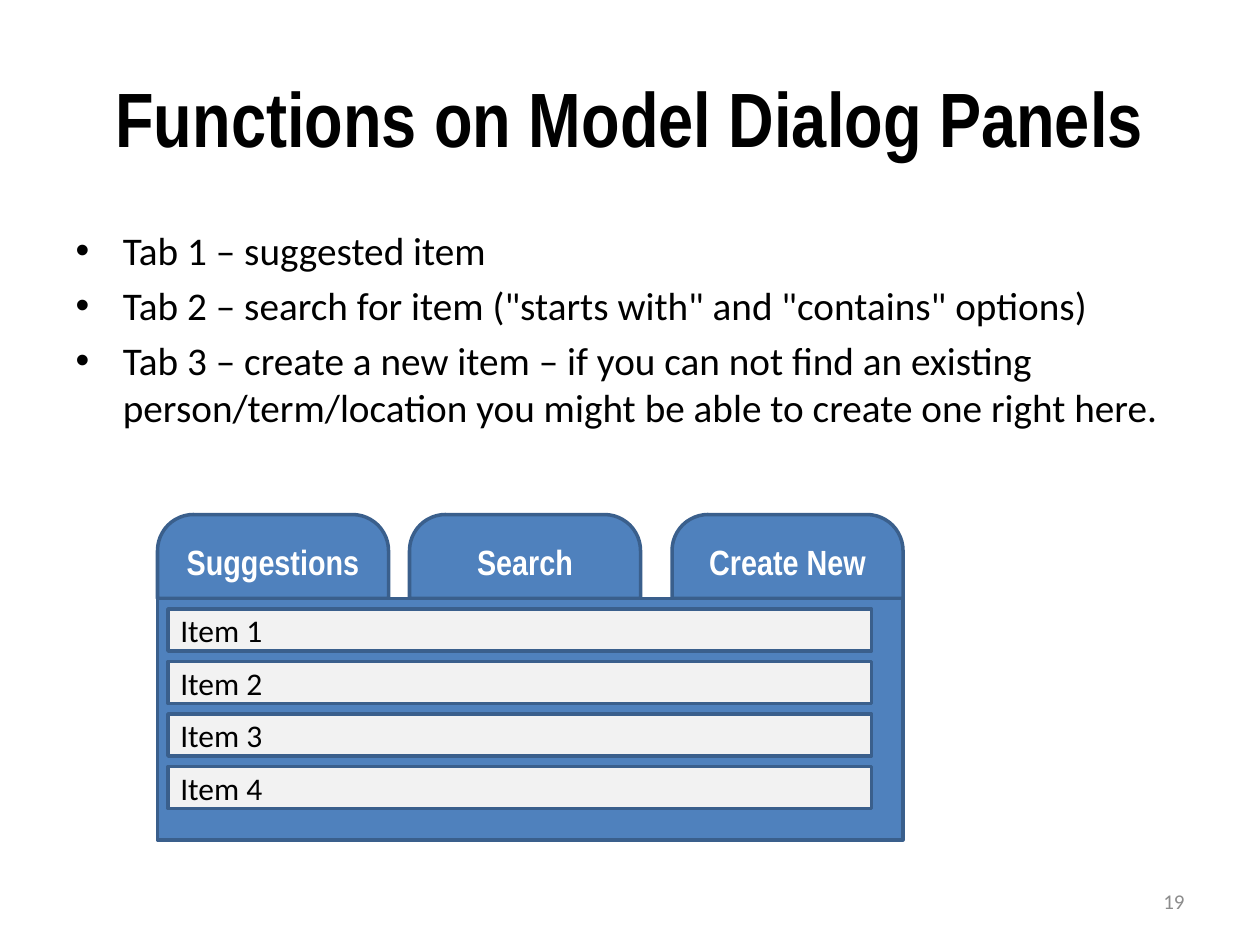
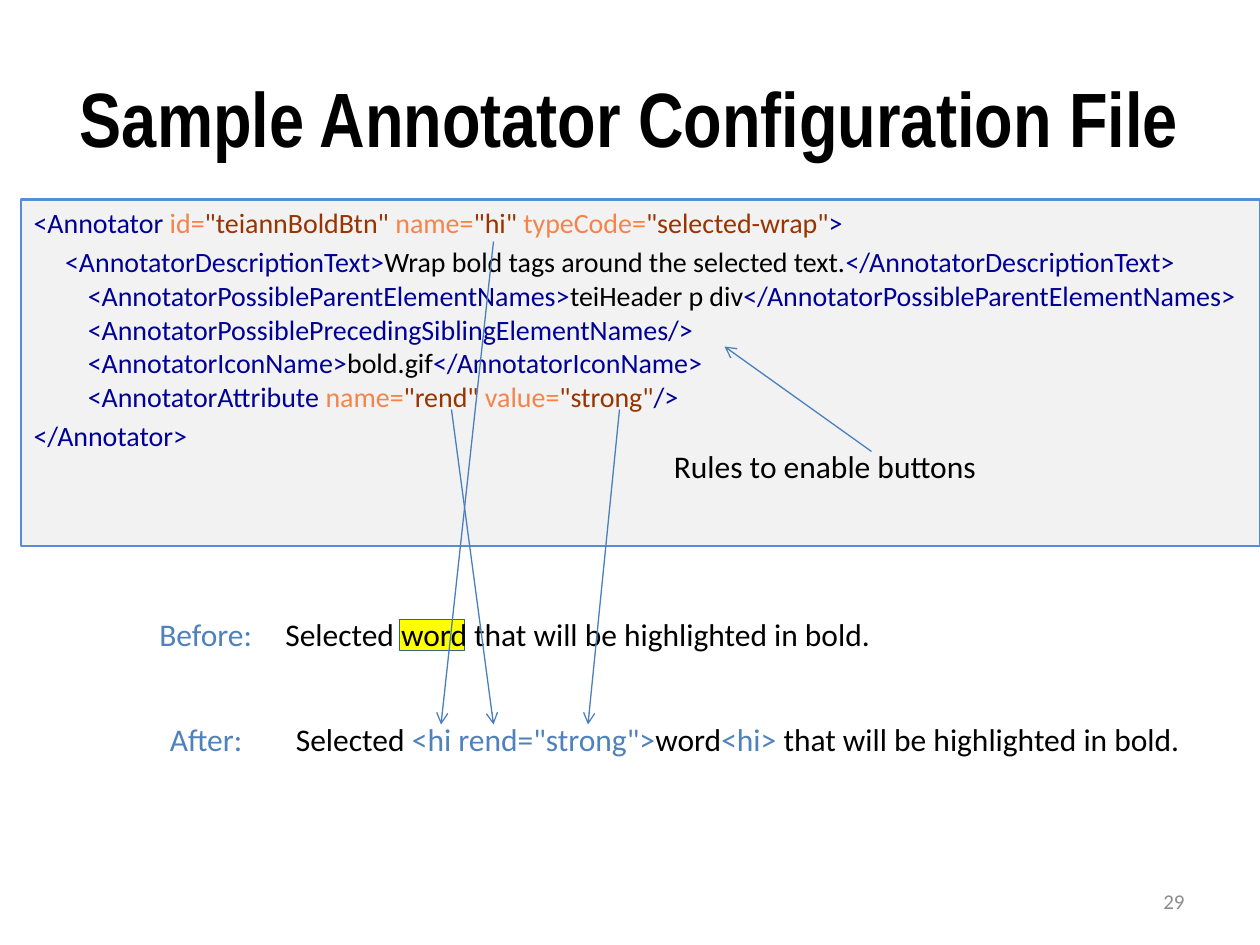
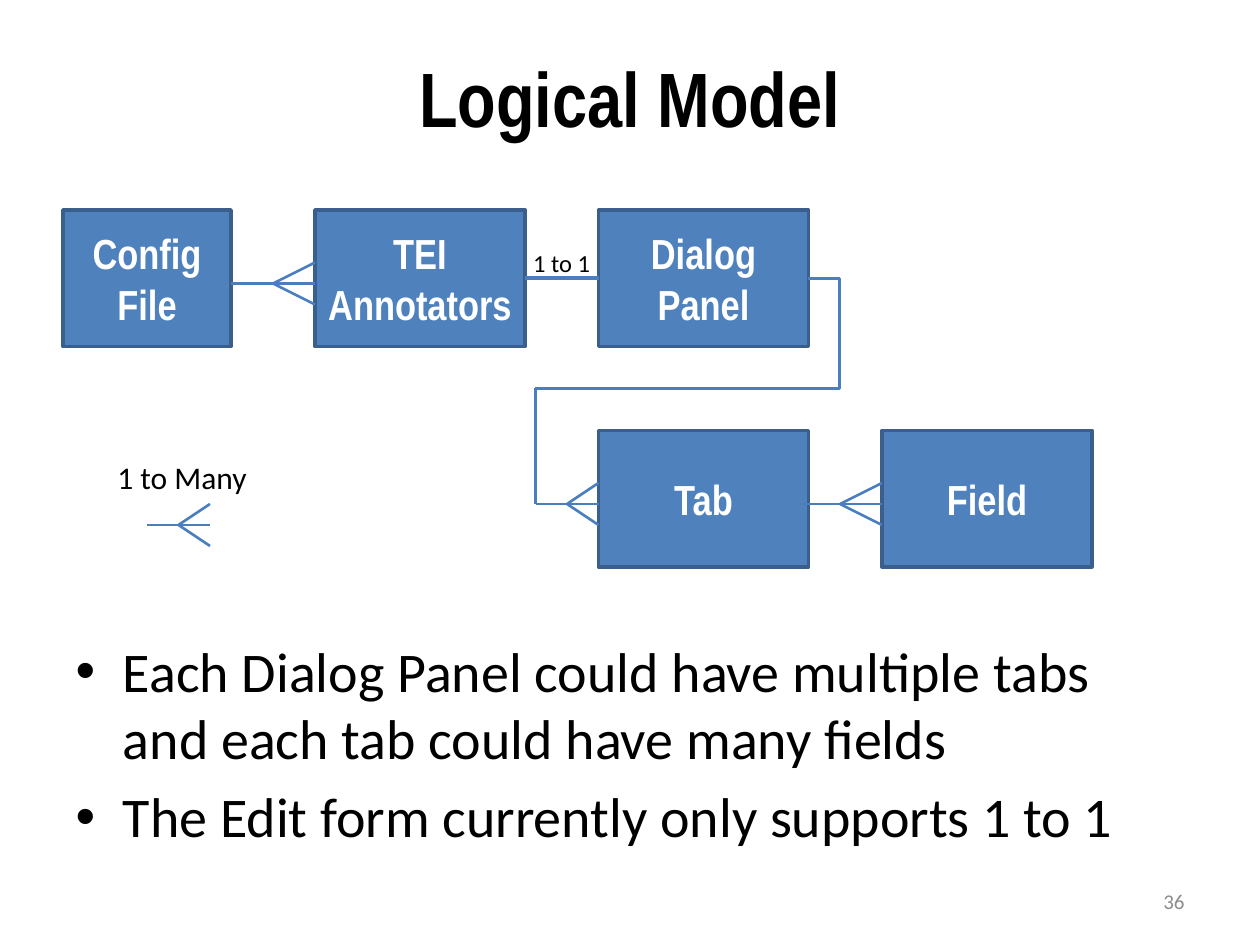
from dataclasses import dataclass

from lxml.etree import SubElement
from pptx import Presentation
from pptx.dml.color import RGBColor
from pptx.enum.shapes import MSO_CONNECTOR as Link, MSO_SHAPE as Shape
from pptx.enum.text import MSO_ANCHOR as Anchor, MSO_AUTO_SIZE as AutoSize, PP_ALIGN as Align
from pptx.oxml.ns import qn
from pptx.util import Inches, Pt

COLUMNS, ROWS = 120, 90


@dataclass(frozen=True)
class Type:
    font: str
    size: float
    color: str
    bold: bool = False


@dataclass(frozen=True)
class Theme:
    accent: str = "4F81BD"
    outline: str = "3A5F8C"
    link: str = "4B7EBC"
    pale: str = "F2F2F2"
    code_border: str = "558ED5"
    marker: str = "FFFF00"
    tag: str = "000096"
    attribute: str = "F5844C"
    equals: str = "FF8040"
    value: str = "993300"
    black: str = "000000"
    title: Type = Type("Arial Narrow", 44, "000000", True)
    box: Type = Type("Arial Narrow", 24, "FFFFFF", True)
    tab: Type = Type("Arial Narrow", 20, "FFFFFF", True)
    body: Type = Type("Calibri", 32, "000000")
    compact: Type = Type("Calibri", 22.4, "000000")
    code: Type = Type("Calibri", 16, "000096")
    text: Type = Type("Calibri", 18, "000000")
    label: Type = Type("Calibri", 18, "4F81BD")
    small: Type = Type("Calibri", 14, "000000")
    number: Type = Type("Calibri", 12, "8C8C8C")


THEME = Theme()


class Deck:
    def __init__(self):
        self.file = Presentation()
        self.file.slide_width, self.file.slide_height = Inches(10), Inches(7.5)
        self.column = self.file.slide_width / COLUMNS
        self.row = self.file.slide_height / ROWS

    def spot(self, *lengths):
        units = (self.column, self.row) * 2
        return [round(length * unit) for length, unit in zip(lengths, units)]

    def start(self, heading, number, top=3.6, height=15):
        self.slide = self.file.slides.add_slide(self.file.slide_layouts[1])
        self.shapes = self.slide.shapes
        title = self.place(self.shapes.title, 6, top, 108, height)
        title.text_frame.vertical_anchor = Anchor.MIDDLE
        self.set_text(title.text_frame, [heading], THEME.title, Align.CENTER)
        footer = self.text(str(number), 86, 83.4, 28, THEME.number, Align.RIGHT)
        footer.vertical_anchor = Anchor.MIDDLE

    def place(self, holder, *area):
        holder.left, holder.top, holder.width, holder.height = self.spot(*area)
        holder.text_frame.auto_size = AutoSize.NONE
        return holder

    def set_text(self, frame, paragraphs, style, align=None):
        for index, content in enumerate(paragraphs):
            paragraph = frame.add_paragraph() if index else frame.paragraphs[0]
            paragraph.alignment = align
            font = paragraph.font
            font.name, font.size, font.bold = style.font, Pt(style.size), style.bold
            if isinstance(content, str):
                font.color.rgb = RGBColor.from_string(style.color)
                paragraph.text = content
                continue
            for words, color in content:
                if words == "\v":
                    paragraph.add_line_break()
                    continue
                run = paragraph.add_run()
                run.text = words
                run.font.color.rgb = RGBColor.from_string(color)

    def body(self, paragraphs, style, *area):
        holder = self.place(self.shapes.placeholders[1], *area)
        self.set_text(holder.text_frame, paragraphs, style)
        return holder

    def paint(self, shape, fill, line, width):
        shape.fill.solid()
        shape.fill.fore_color.rgb = RGBColor.from_string(fill)
        shape.line.color.rgb = RGBColor.from_string(line)
        shape.line.width = Pt(width)

    def code(self, lines, hanging, *area):
        panel = self.body(lines, THEME.code, *area)
        self.paint(panel, THEME.pale, THEME.code_border, 1.5)
        for paragraph, (margin, indent) in zip(panel.text_frame.paragraphs, hanging):
            properties = paragraph._p.get_or_add_pPr()
            properties.set("marL", str(Inches(margin)))
            properties.set("indent", str(Inches(indent)))
            properties.insert(0, properties.makeelement(qn("a:buNone")))

    def box(self, words, *area, style=THEME.box, fill=THEME.accent,
            align=Align.CENTER, kind=Shape.RECTANGLE, width=2):
        shape = self.shapes.add_shape(kind, *self.spot(*area))
        shape.shadow.inherit = False
        self.paint(shape, fill, THEME.outline, width)
        if words:
            shape.text_frame.vertical_anchor = Anchor.MIDDLE
            self.set_text(shape.text_frame, words.split("\n"), style, align)
        return shape

    def text(self, words, left, top, width, style=THEME.text, align=None, height=4.8, wrap=True):
        frame = self.shapes.add_textbox(*self.spot(left, top, width, height)).text_frame
        frame.word_wrap = wrap
        self.set_text(frame, [words], style, align)
        return frame

    def line(self, start, end, width=1.5, arrow=False, bend=None, shapes=None):
        kind = Link.STRAIGHT if bend is None else Link.ELBOW
        link = (shapes or self.shapes).add_connector(kind, *self.spot(*start, *end))
        link.line.color.rgb = RGBColor.from_string(THEME.link)
        link.line.width = Pt(width)
        properties = link._element.spPr
        if arrow:
            SubElement(properties.find(qn("a:ln")), qn("a:tailEnd"), type="arrow")
        if bend is not None:
            guides = properties.find(qn("a:prstGeom")).get_or_add_avLst()
            SubElement(guides, qn("a:gd"), name="adj1", fmla=f"val {round(bend * 100000)}")
        SubElement(properties, qn("a:effectLst"))
        return link

    def crow_foot(self, left, fork, right, middle):
        group = self.shapes.add_group_shape().shapes
        for rise in (-2, 2, 0):
            self.line((fork, middle), (right, middle + rise), shapes=group)
        self.line((left, middle), (fork, middle), shapes=group)


def attribute(name, value):
    return [(f" {name}", THEME.attribute), ("=", THEME.equals), (f'"{value}"', THEME.value)]


def element(name, content):
    return [(f"<{name}>", THEME.tag), (content, THEME.black), (f"</{name}>", THEME.tag)]


def dialog_panels(deck):
    deck.start("Functions on Model Dialog Panels", 19)
    deck.body([
        "Tab 1 – suggested item",
        'Tab 2 – search for item ("starts with" and "contains" options)',
        "Tab 3 – create a new item – if you can not find an existing "
        "person/term/location you might be able to create one right here.",
    ], THEME.compact, 6, 21, 108, 25)
    for left, name in ((15, "Suggestions"), (39, "Search"), (64, "Create New")):
        tab = deck.box(name, left, 49, 22, 8, style=THEME.tab, kind=Shape.ROUND_2_SAME_RECTANGLE)
        tab.adjustments[0] = 0.43
    deck.box("", 15, 57, 71, 23)
    for index in range(4):
        deck.box(f"Item {index + 1}", 16, 58 + 5 * index, 67, 4,
                 style=THEME.text, fill=THEME.pale, align=Align.LEFT)


def configuration_file(deck):
    deck.start("Sample Annotator Configuration File", 29)
    tag, line_break = THEME.tag, [("\v", None)]
    opening = [("<Annotator", tag), *attribute("id", "teiannBoldBtn"), *attribute("name", "hi"),
               *attribute("typeCode", "selected-wrap"), (">", tag)]
    children = [
        *element("AnnotatorDescriptionText", "Wrap bold tags around the selected text."), *line_break,
        *element("AnnotatorPossibleParentElementNames", "teiHeader p div"), *line_break,
        ("<AnnotatorPossiblePrecedingSiblingElementNames/>", tag), *line_break,
        *element("AnnotatorIconName", "bold.gif"), *line_break,
        ("<AnnotatorAttribute", tag), *attribute("name", "rend"), *attribute("value", "strong"),
        ("/>", tag),
    ]
    deck.code([opening, children, "</Annotator>"],
              [(0.38, -0.38), (0.43, -0.18), (0.38, -0.38)], 2, 19, 118, 33)

    deck.box("", 38, 59, 6.2, 2.9, fill=THEME.marker, width=0.25)
    deck.text("Selected word that will be highlighted in bold.", 26, 58, 63)
    deck.text("Before:", 14, 58, 11.4, THEME.label, wrap=False)
    deck.text([("Selected ", THEME.black), ('<hi rend="strong">', THEME.accent),
               ("word", THEME.black), ("<hi> ", THEME.accent),
               ("that will be highlighted in bold.", THEME.black)], 27, 68, 87)
    deck.text("After:", 15, 68, 9.5, THEME.label, wrap=False)
    for start, end in (((43, 39), (47, 69)), ((59, 39), (56, 69)),
                       ((47, 23), (42, 69)), ((83, 43), (69, 33))):
        deck.line(start, end, 0.75, arrow=True)
    deck.text("Rules to enable buttons", 63, 42, 35)


def logical_model(deck):
    deck.start("Logical Model", 36, top=3, height=12.4)
    deck.body([
        "Each Dialog Panel could have multiple tabs and each tab could have many fields",
        "The Edit form currently only supports 1 to 1",
    ], THEME.body, 6, 60, 108, 20.4)
    deck.box("Config\nFile", 6, 20, 16, 13)
    annotators, dialog, _, _ = [
        deck.box(name, left, top, 20, 13)
        for name, left, top in (("TEI\vAnnotators", 30, 20), ("Dialog\vPanel", 57, 20),
                                ("Tab", 57, 41), ("Field", 84, 41))
    ]
    for foot in ((22, 26, 30, 27), (51, 54, 57, 48), (76, 80, 84, 48), (14, 17, 20, 50)):
        deck.crow_foot(*foot)
    deck.line((77, 26.5), (51, 37), bend=-0.115)
    deck.line((51, 37), (51, 48), 2.25)
    deck.text("1 to Many", 10, 43, 15)
    one_to_one = deck.line((50, 26.5), (57, 26.5), 2.25)
    one_to_one.begin_connect(annotators, 3)
    one_to_one.end_connect(dialog, 1)
    deck.text("1 to 1", 48, 23, 11, THEME.small, Align.CENTER, height=4.1)


def main():
    deck = Deck()
    for build in (dialog_panels, configuration_file, logical_model):
        build(deck)
    deck.file.save("out.pptx")


if __name__ == "__main__":
    main()
